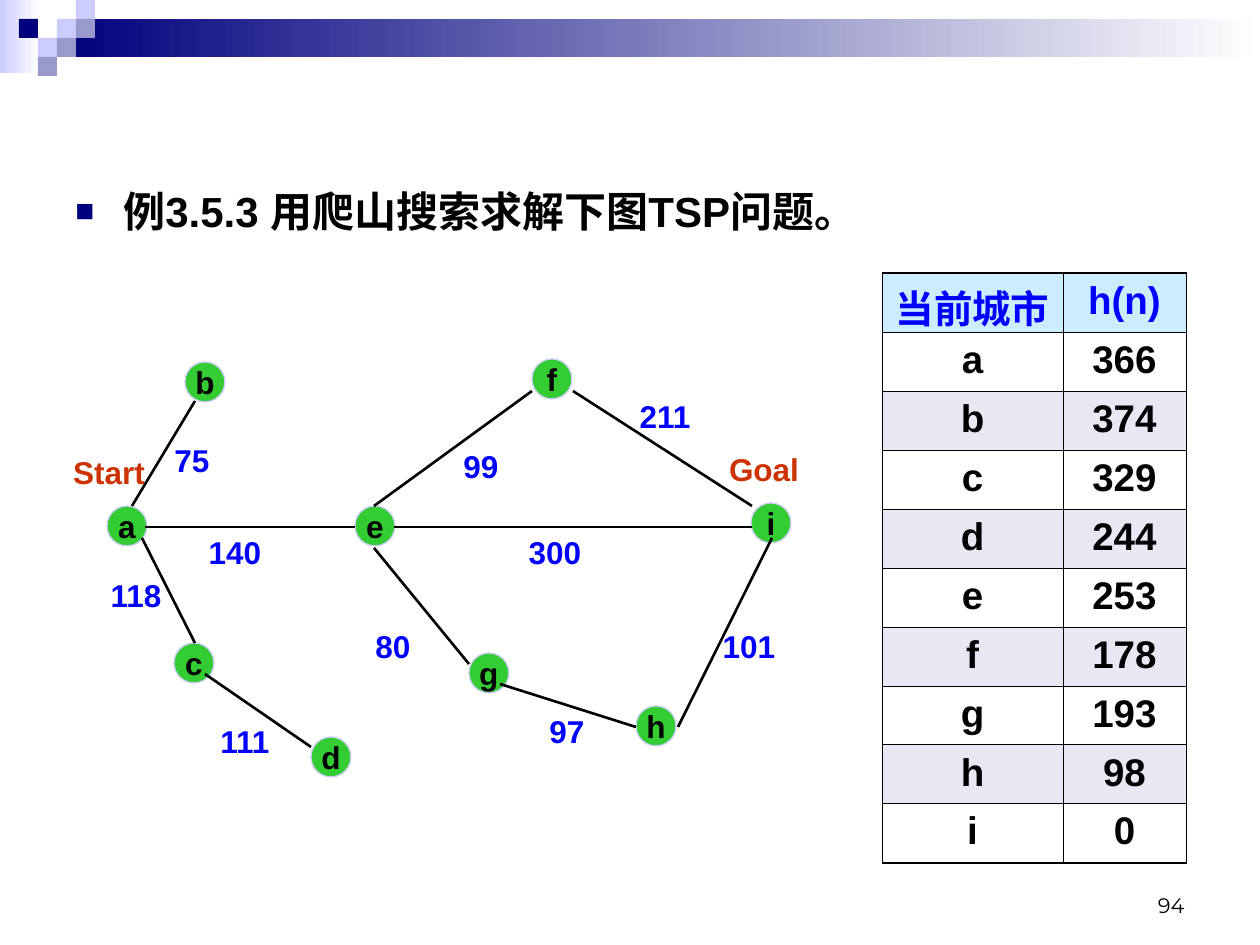
from typing import NamedTuple

from lxml.etree import SubElement
from pptx import Presentation
from pptx.dml.color import RGBColor
from pptx.enum.shapes import MSO_CONNECTOR, MSO_SHAPE
from pptx.enum.text import MSO_ANCHOR as Anchor, MSO_AUTO_SIZE as AutoSize, PP_ALIGN as Align
from pptx.oxml.ns import qn
from pptx.util import Emu, Pt

EMU_PER_PX = 914400 / 126
SQUARE = 19
NODE_SIZE = 40
LABEL_HEIGHT = 50

WHITE = RGBColor(0xFF, 0xFF, 0xFF)
BLACK = RGBColor(0x00, 0x00, 0x00)
NAVY = RGBColor(0x00, 0x00, 0x7D)
LAVENDER = RGBColor(0xCC, 0xCC, 0xFF)
MAUVE = RGBColor(0x99, 0x99, 0xCC)
GREEN = RGBColor(0x33, 0xCC, 0x33)
BLUE = RGBColor(0x00, 0x00, 0xFF)
RUST = RGBColor(0xCC, 0x33, 0x00)
HEADER_FILL = RGBColor(0xCC, 0xEC, 0xFF)
BAND_FILL = RGBColor(0xE8, 0xE8, 0xF4)


class Square(NamedTuple):
    column: int
    row: int
    color: RGBColor


class City(NamedTuple):
    name: str
    x: int
    y: int


class Label(NamedTuple):
    text: str
    x: int
    y: int
    width: int = 100
    color: RGBColor = BLUE


class Road(NamedTuple):
    x1: int
    y1: int
    x2: int
    y2: int


SQUARES = [
    Square(3, 1, LAVENDER), Square(4, 0, LAVENDER), Square(4, 1, MAUVE),
    Square(2, 2, LAVENDER), Square(1, 1, NAVY), Square(3, 2, MAUVE),
    Square(2, 3, MAUVE),
]
CITIES = [
    City("a", 107, 506), City("b", 185, 362), City("c", 174, 643),
    City("d", 311, 737), City("e", 355, 506), City("f", 532, 359),
    City("g", 469, 653), City("h", 636, 706), City("i", 751, 503),
]
LABELS = [
    Label("Start", 54, 447, 110, RUST), Label("Goal", 709, 444, 110, RUST),
    Label("75", 142, 435), Label("140", 185, 527), Label("118", 86, 570),
    Label("111", 195, 716), Label("80", 343, 621), Label("97", 517, 706),
    Label("211", 615, 391), Label("101", 699, 621), Label("300", 505, 527),
    Label("99", 431, 441),
]
ROADS = [
    Road(142, 538, 195, 643), Road(205, 674, 311, 747), Road(132, 506, 195, 401),
    Road(145, 527, 355, 527), Road(394, 527, 752, 527), Road(374, 506, 532, 391),
    Road(374, 548, 469, 664), Road(500, 684, 636, 727), Road(678, 727, 772, 538),
    Road(573, 391, 752, 506),
]
ESTIMATES = [
    ("当前城市", "h(n)"), ("a", "366"), ("b", "374"), ("c", "329"), ("d", "244"),
    ("e", "253"), ("f", "178"), ("g", "193"), ("h", "98"), ("i", "0"),
]


def px(*lengths: int) -> list[Emu]:
    return [Emu(round(length * EMU_PER_PX)) for length in lengths]


def write(frame, text: str, size: int, color: RGBColor, align=Align.CENTER,
          bold: bool = True, font: str = "Arial"):
    paragraph = frame.paragraphs[0]
    paragraph.alignment = align
    run = paragraph.add_run()
    run.text = text
    run.font.name, run.font.size, run.font.bold = font, Pt(size), bold
    run.font.color.rgb = color
    return paragraph


def add_text(slide, x: int, y: int, width: int, height: int):
    frame = slide.shapes.add_textbox(*px(x, y, width, height)).text_frame
    frame.word_wrap = True
    return frame


def add_block(slide, x: int, y: int, width: int, height: int, color: RGBColor,
              fades: bool = False) -> None:
    block = slide.shapes.add_shape(MSO_SHAPE.RECTANGLE, *px(x, y, width, height))
    block.shadow.inherit = False
    block.line.fill.background()
    if fades:
        block.fill.gradient()
        block.fill.gradient_angle = 0
        for stop, stop_color in zip(block.fill.gradient_stops, (color, WHITE)):
            stop.color.rgb = stop_color
    else:
        block.fill.solid()
        block.fill.fore_color.rgb = color


def add_city(slide, city: City) -> None:
    node = slide.shapes.add_shape(
        MSO_SHAPE.OVAL, *px(city.x, city.y, NODE_SIZE, NODE_SIZE))
    node.shadow.inherit = False
    node.fill.solid()
    node.fill.fore_color.rgb = GREEN
    node.line.color.rgb = LAVENDER
    node.line.width = Pt(0.75)
    node.text_frame.word_wrap = False
    node.text_frame.vertical_anchor = Anchor.MIDDLE
    write(node.text_frame, city.name, 18, BLACK)


def add_label(slide, label: Label) -> None:
    frame = add_text(slide, label.x, label.y, label.width, LABEL_HEIGHT)
    frame.auto_size = AutoSize.SHAPE_TO_FIT_TEXT
    write(frame, label.text, 18, label.color)


def add_road(slide, road: Road) -> None:
    line = slide.shapes.add_connector(MSO_CONNECTOR.STRAIGHT, *px(*road))
    line.line.color.rgb = BLACK
    line.line.width = Pt(1.5)
    SubElement(line._element.spPr, qn("a:effectLst"))


def add_bullet(paragraph) -> None:
    properties = paragraph._p.get_or_add_pPr()
    indent = px(48)[0]
    properties.set("marL", str(indent))
    properties.set("indent", str(-indent))
    color = SubElement(properties, qn("a:buClr"))
    SubElement(color, qn("a:srgbClr"), val=str(NAVY))
    SubElement(properties, qn("a:buSzPct"), val="75000")
    SubElement(properties, qn("a:buFont"), typeface="Arial")
    SubElement(properties, qn("a:buChar"), char="■")


def add_borders(cell, top: float, bottom: float) -> None:
    properties = cell._tc.get_or_add_tcPr()
    sides = {"a:lnL": 0.45, "a:lnR": 0.45, "a:lnT": top, "a:lnB": bottom}
    for position, (side, width) in enumerate(sides.items()):
        border = SubElement(properties, qn(side), w=str(Pt(width)))
        SubElement(SubElement(border, qn("a:solidFill")), qn("a:srgbClr"), val=str(BLACK))
        properties.insert(position, border)


def add_estimates(slide) -> None:
    last = len(ESTIMATES) - 1
    table = slide.shapes.add_table(
        len(ESTIMATES), 2, *px(882, 273, 304, 590)).table
    table.first_row = table.horz_banding = False
    table.columns[0].width, table.columns[1].width = px(181, 123)
    for r, values in enumerate(ESTIMATES):
        table.rows[r].height = px(59)[0]
        for c, value in enumerate(values):
            cell = table.cell(r, c)
            write(cell.text_frame, value, 22, BLACK if r else BLUE)
            if r % 2 and r:
                cell.fill.background()
            else:
                cell.fill.solid()
                cell.fill.fore_color.rgb = BAND_FILL if r else HEADER_FILL
            add_borders(cell, 0.45 if r else 1.08, 1.08 if r == last else 0.45)


def main() -> None:
    deck = Presentation()
    deck.slide_width, deck.slide_height = px(1260, 945)
    slide = deck.slides.add_slide(deck.slide_layouts[6])

    # Header band
    add_block(slide, 0, 0, 39, 73, LAVENDER, fades=True)
    add_block(slide, 57, SQUARE, 1203, 2 * SQUARE, NAVY, fades=True)
    for square in SQUARES:
        add_block(slide, square.column * SQUARE, square.row * SQUARE,
                  SQUARE, SQUARE, square.color)

    # Problem statement
    statement = add_text(slide, 63, 179, 829, 670)
    add_bullet(write(statement, "例3.5.3 用爬山搜索求解下图TSP问题。", 24, BLACK, Align.LEFT))

    # Heuristic estimates
    add_estimates(slide)

    # City graph
    for city in CITIES:
        add_city(slide, city)
    for road in ROADS:
        add_road(slide, road)
    for label in LABELS:
        add_label(slide, label)

    # Page number
    page = add_text(slide, 903, 861, 294, 63)
    page.vertical_anchor = Anchor.BOTTOM
    write(page, "94", 12, BLACK, Align.RIGHT, bold=False, font="Montserrat")

    deck.save("out.pptx")


if __name__ == "__main__":
    main()
